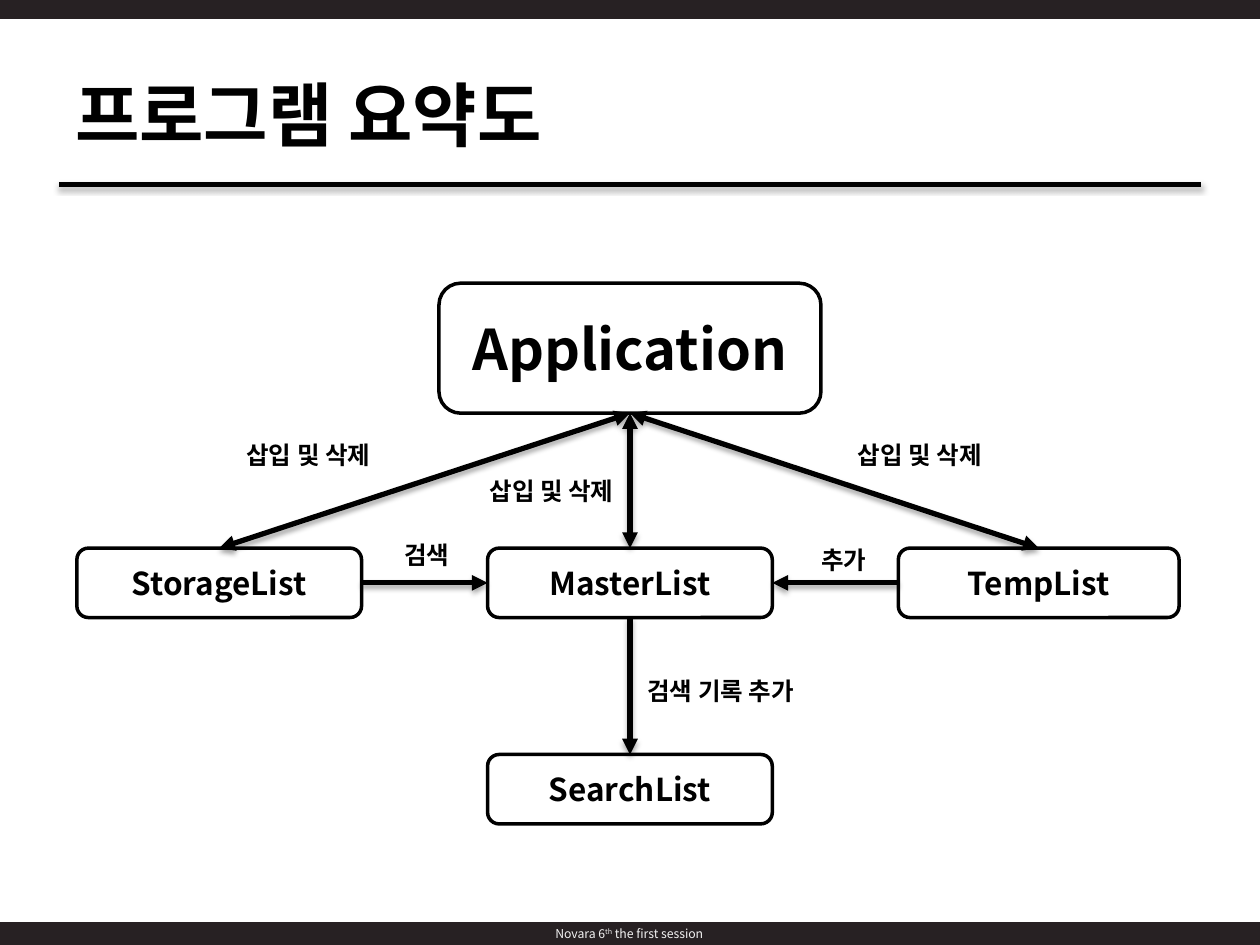
from lxml.etree import SubElement
from pptx import Presentation
from pptx.dml.color import RGBColor
from pptx.enum.shapes import MSO_CONNECTOR, MSO_SHAPE
from pptx.enum.text import MSO_ANCHOR, PP_ALIGN
from pptx.oxml.ns import qn
from pptx.util import Cm, Pt

BLACK = RGBColor(0, 0, 0)
DARK = RGBColor(0x27, 0x21, 0x23)
PALE = RGBColor(0xF2, 0xF2, 0xF2)
TOP, LEFT, BOTTOM, RIGHT = range(4)


class Sketch:
    font = "Noto Sans CJK KR"

    def __init__(self, slide):
        self.shapes = slide.shapes

    def style(self, run, size, color=BLACK, bold=True):
        run.font.size = Pt(size)
        run.font.bold = bold
        run.font.color.rgb = color
        run.font.name = self.font
        SubElement(run._r.get_or_add_rPr(), qn("a:ea"), typeface=self.font)

    def caption(self, shape, text, size, align=PP_ALIGN.CENTER):
        para = shape.text_frame.paragraphs[0]
        para.text = text
        para.alignment = align
        self.style(para.runs[0], size)

    def bar(self, top):
        bar = self.shapes.add_shape(
            MSO_SHAPE.RECTANGLE, Cm(-1.22), Cm(top), Cm(27.81), Cm(0.46))
        bar.shadow.inherit = False
        bar.fill.solid()
        bar.fill.fore_color.rgb = DARK
        bar.line.fill.background()
        return bar

    def footer(self, top, parts):
        frame = self.bar(top).text_frame
        frame.vertical_anchor = MSO_ANCHOR.MIDDLE
        para = frame.paragraphs[0]
        para.alignment = PP_ALIGN.CENTER
        for text, base in parts:
            run = para.add_run()
            run.text = text
            self.style(run, 7, PALE, False)
            if base:
                run._r.get_or_add_rPr().set("baseline", str(base * 1000))

    def box(self, text, left, top, width=5.74, height=1.4, size=18):
        box = self.shapes.add_shape(
            MSO_SHAPE.ROUNDED_RECTANGLE, Cm(left), Cm(top), Cm(width), Cm(height))
        box.shadow.inherit = False
        box.fill.background()
        box.line.color.rgb = BLACK
        box.line.width = Pt(2)
        box.text_frame.vertical_anchor = MSO_ANCHOR.MIDDLE
        self.caption(box, text, size)
        return box

    def label(self, text, left, top, width, height=0.86, size=14,
              align=PP_ALIGN.CENTER):
        label = self.shapes.add_textbox(Cm(left), Cm(top), Cm(width), Cm(height))
        label.text_frame.word_wrap = True
        self.caption(label, text, size, align)

    def line(self, x1=0, y1=0, x2=0, y2=0):
        line = self.shapes.add_connector(
            MSO_CONNECTOR.STRAIGHT, Cm(x1), Cm(y1), Cm(x2), Cm(y2))
        line.line.color.rgb = BLACK
        line.line.width = Pt(3)
        effects = SubElement(line._element.spPr, qn("a:effectLst"))
        shade = SubElement(
            effects, qn("a:outerShdw"), blurRad=str(Pt(3.1)), dist=str(Pt(1.8)),
            dir="5400000", rotWithShape="0")
        color = SubElement(shade, qn("a:srgbClr"), val=str(BLACK))
        SubElement(color, qn("a:alpha"), val="35000")
        return line

    def arrow(self, start, side, end, goal, both=False):
        line = self.line()
        line.begin_connect(start, side)
        line.end_connect(end, goal)
        stroke = line._element.spPr.find(qn("a:ln"))
        for tag in ("a:headEnd", "a:tailEnd") if both else ("a:tailEnd",):
            SubElement(stroke, qn(tag), type="triangle")


deck = Presentation()
deck.slide_width, deck.slide_height = Cm(25.4), Cm(19.05)
art = Sketch(deck.slides.add_slide(deck.slide_layouts[6]))

art.footer(18.59, [("Novara 6", 0), ("th", 30), (" the first session", 0)])
art.bar(-0.08)
art.line(1.19, 3.72, 24.21, 3.72)
art.label("프로그램 요약도", 1.27, 1.32, 11.43, 1.96, 40, PP_ALIGN.LEFT)

app = art.box("Application", 8.85, 5.71, 7.7, 2.62, 32)
master = art.box("MasterList", 9.83, 11.05)
store = art.box("StorageList", 1.55, 11.05)
temp = art.box("TempList", 18.11, 11.05, 5.66)
search = art.box("SearchList", 9.83, 15.21)

for left, top in ((3.86, 8.74), (8.76, 9.47), (16.18, 8.74)):
    art.label("삽입 및 삭제", left, top, 4.72)
art.label("검색", 7.21, 10.77, 2.79)
art.label("추가", 15.62, 10.87, 2.79)
art.label("검색 기록 추가", 12.8, 13.51, 3.89, align=PP_ALIGN.LEFT)

art.arrow(store, RIGHT, master, LEFT)
art.arrow(temp, LEFT, master, RIGHT)
for part in (master, temp, store):
    art.arrow(app, BOTTOM, part, TOP, both=True)
art.arrow(master, BOTTOM, search, TOP)

deck.save("out.pptx")
